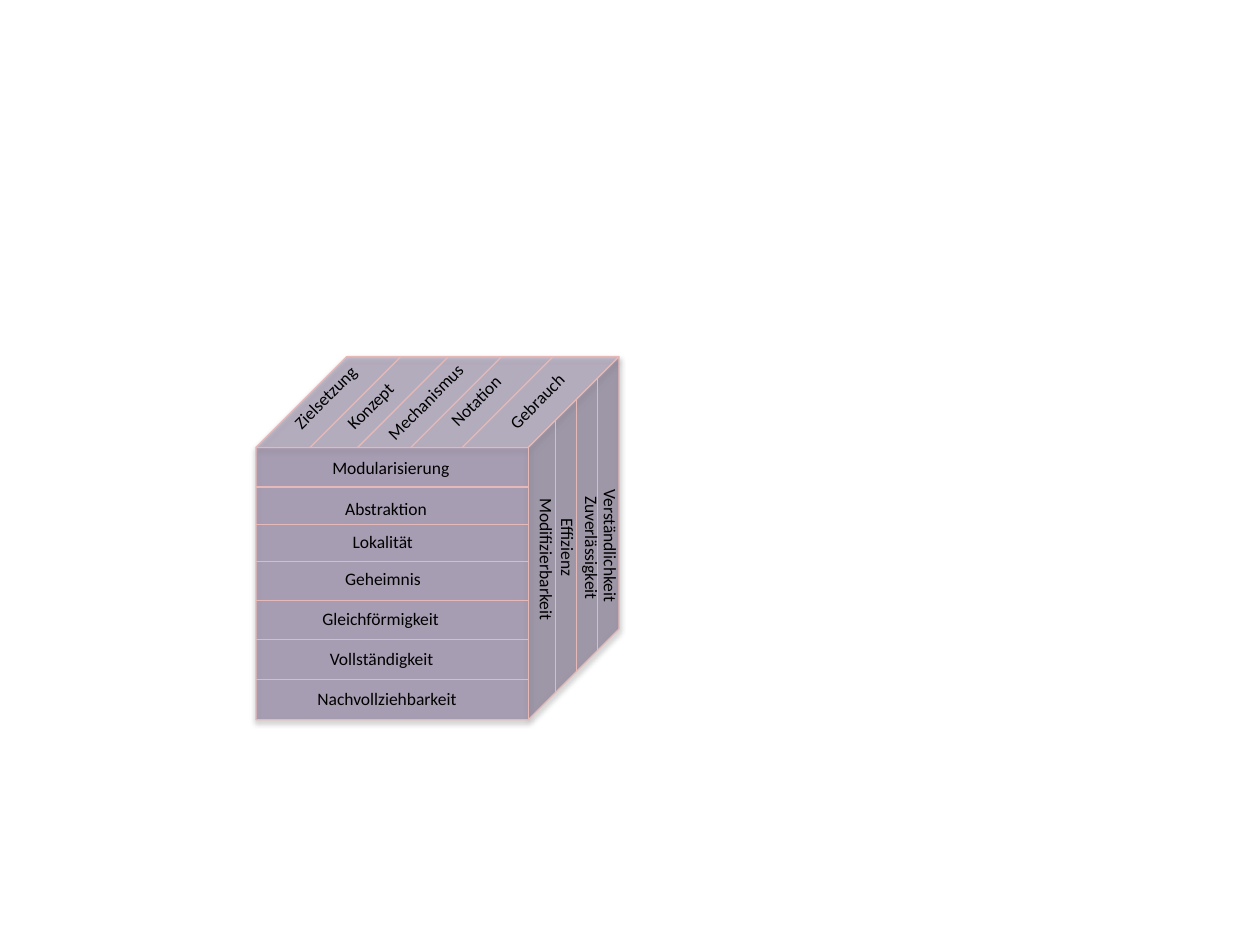
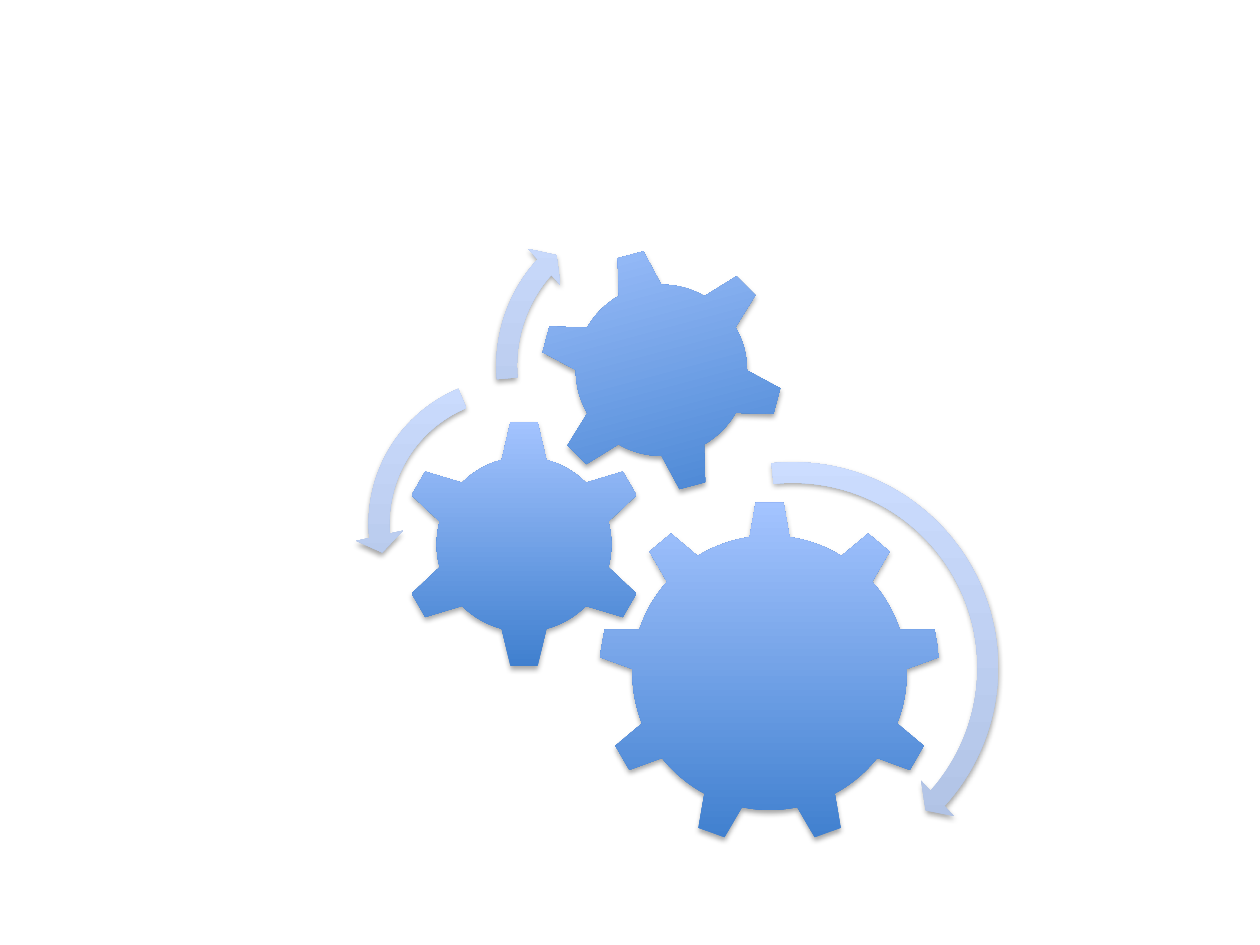
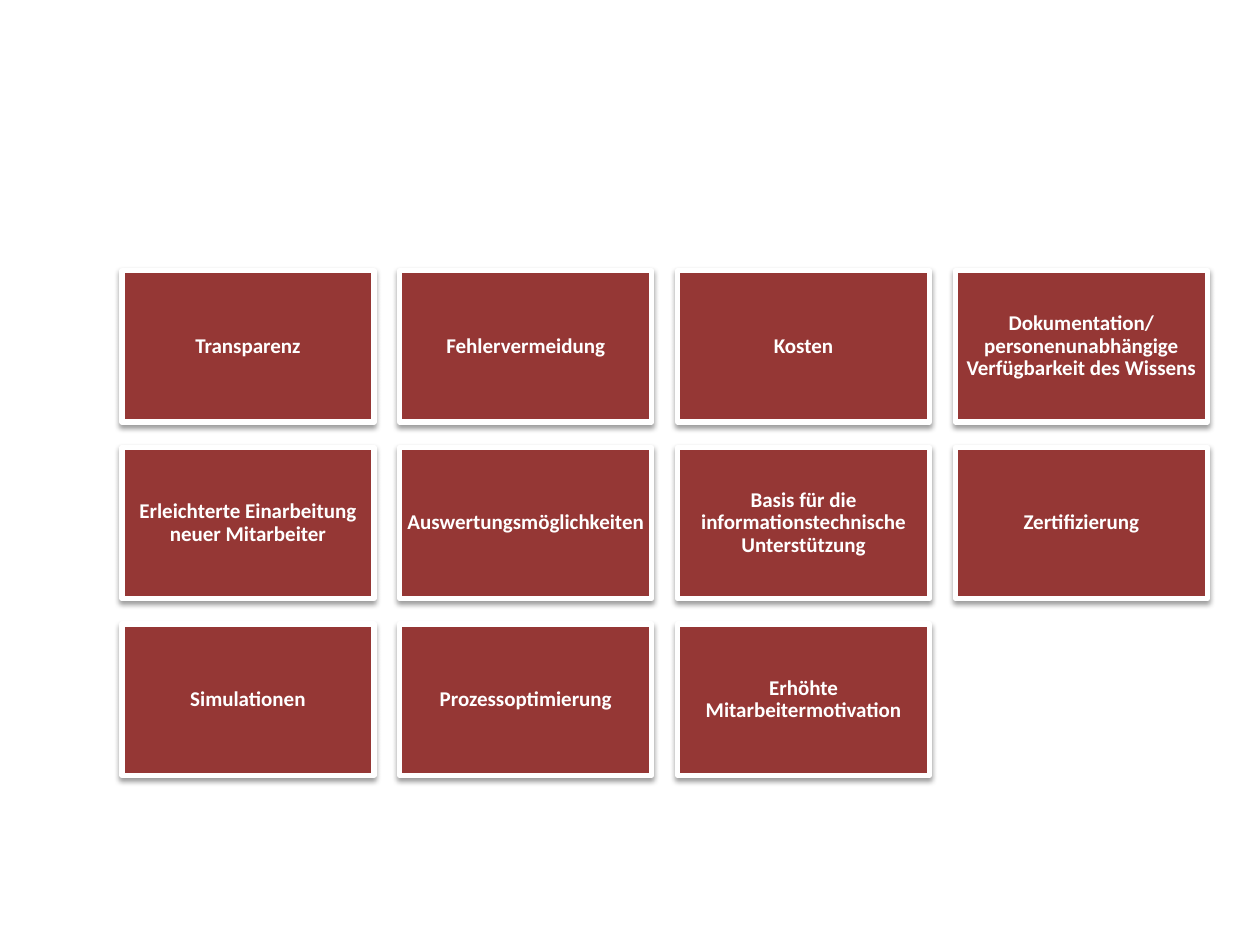
from dataclasses import dataclass

from lxml import etree
from pptx import Presentation
from pptx.dml.color import RGBColor
from pptx.enum.shapes import MSO_CONNECTOR, MSO_SHAPE
from pptx.enum.text import MSO_ANCHOR, PP_ALIGN
from pptx.oxml.ns import qn
from pptx.util import Cm, Pt

CUBE, RECTANGLE = MSO_SHAPE.CUBE, MSO_SHAPE.RECTANGLE
GEAR_6, GEAR_9 = MSO_SHAPE.GEAR_6, MSO_SHAPE.GEAR_9
ARROW, LEFT_ARROW = MSO_SHAPE.CIRCULAR_ARROW, MSO_SHAPE.LEFT_CIRCULAR_ARROW
STRAIGHT = MSO_CONNECTOR.STRAIGHT
LEFT, CENTER = PP_ALIGN.LEFT, PP_ALIGN.CENTER
TOP, MIDDLE = MSO_ANCHOR.TOP, MSO_ANCHOR.MIDDLE
BLANK_LAYOUT = 6


@dataclass(frozen=True)
class Theme:
    font: str = "Calibri"
    label_size: int = 10
    tile_size: int = 12
    ink: str = "000000"
    paper: str = "FFFFFF"
    cube: str = "604A7B"
    cube_opacity: int = 42
    divider: str = "E6B9B8"
    divider_width: float = 0.75
    gear: tuple = ("3F7FCE", "A4C4FF")
    arrow: tuple = ("ADBFE1", "CCDDFF")
    tile: str = "953735"
    tile_border: float = 3
    shadow_opacity: int = 35
    tile_shadow_opacity: int = 38


THEME = Theme()

# Cube: lengths in cm, labels as (text, left, top, width)
CUBE_LEFT, CUBE_TOP, CUBE_SIZE = 5.16, 7.19, 7.32
CUBE_DEPTH = CUBE_SIZE / 4
FRONT_DIVIDERS = [9.82, 10.57, 11.32, 12.1, 12.89, 13.7]
TOP_DIVIDERS = [6.25, 7.21, 8.28, 9.32]
SIDE_DIVIDERS = [11.2, 11.62, 12.04]
FRONT_LABELS = [
    ("Modularisierung", 6.45, 9.09, 3.51),
    ("Abstraktion", 6.71, 9.91, 3.51),
    ("Lokalität", 6.86, 10.59, 3.51),
    ("Geheimnis", 6.71, 11.33, 3.51),
    ("Gleichförmigkeit", 6.25, 12.14, 3.51),
    ("Vollständigkeit", 6.4, 12.93, 3.51),
    ("Nachvollziehbarkeit", 6.15, 13.74, 3.81),
]
SIDE_LABELS = [
    ("Verständlichkeit", 10.54, 11.02, 3.51),
    ("Zuverlässigkeit", 10.16, 11.15, 3.51),
    ("Effizienz", 9.68, 11.61, 3.51),
    ("Modifizierbarkeit", 9.25, 11.2, 3.51),
]
TOP_LABELS = [
    ("Zielsetzung", 5.54, 7.47, 2.54),
    ("Konzept", 6.65, 7.59, 2.24),
    ("Mechanismus", 7.34, 7.49, 3.12),
    ("Notation", 8.61, 7.21, 3.12),
    ("Gebrauch", 9.8, 7.26, 3.12),
]
# (labels, height, rotation) of each face
FACES = [(FRONT_LABELS, 0.64, 0), (SIDE_LABELS, 0.71, 90), (TOP_LABELS, 0.97, 314.8)]

# (kind, left, top, size, rotation)
GEARS = [
    (GEAR_9, 12.06, 10.11, 6.91, 0),
    (GEAR_6, 8.05, 8.46, 5.03, 0),
    (GEAR_6, 10.87, 5, 4.93, 345),
]
# (kind, left, top, size, band %, head angle, end angle, start angle, head %)
ARROWS = [
    (ARROW, 11.56, 9.04, 8.84, 4.7, 4.98, 42.06, 264.09, 5.5),
    (LEFT_ARROW, 7.16, 7.34, 6.43, 6.5, 7.17, 174.82, 247.3, 7.5),
    (ARROW, 9.73, 3.91, 6.93, 6, 6.57, 221.9, 175.14, 7),
]

BENEFITS = [
    "Transparenz",
    "Fehlervermeidung",
    "Kosten",
    "Dokumentation/personenunabhängige Verfügbarkeit des Wissens",
    "Erleichterte Einarbeitung neuer Mitarbeiter",
    "Auswertungsmöglichkeiten",
    "Basis für die informationstechnische Unterstützung",
    "Zertifizierung",
    "Simulationen",
    "Prozessoptimierung",
    "Erhöhte Mitarbeitermotivation",
]
TILE_COLUMNS = 4
TILE_LEFT, TILE_TOP = 2.46, 5.46
TILE_WIDTH, TILE_HEIGHT = 5.08, 3.05
TILE_STEP_X, TILE_STEP_Y = 5.6, 3.56


def rgb(value):
    return RGBColor.from_string(value)


def set_all(target, values):
    for name, value in values.items():
        setattr(target, name, value)


def add_alpha(color_element, percent):
    etree.SubElement(color_element, qn("a:alpha"), val=str(percent * 1000))


def add_shadow(shape, opacity):
    shape.shadow.inherit = False
    effects = shape._element.spPr.find(qn("a:effectLst"))
    shadow = etree.SubElement(
        effects, qn("a:outerShdw"), blurRad=str(Pt(3.1)), dist=str(Pt(1.8)),
        dir="5400000", rotWithShape="0")
    add_alpha(etree.SubElement(shadow, qn("a:srgbClr"), val=THEME.ink), opacity)


def add_block(slide, kind, left, top, width, height, opacity=THEME.shadow_opacity):
    """Add a preset shape that casts the deck's soft shadow."""
    shape = slide.shapes.add_shape(kind, Cm(left), Cm(top), Cm(width), Cm(height))
    add_shadow(shape, opacity)
    return shape


def fill_solid(shape, fill, line, line_width):
    shape.fill.solid()
    shape.fill.fore_color.rgb = rgb(fill)
    shape.line.color.rgb = rgb(line)
    shape.line.width = Pt(line_width)


def fill_gradient(shape, colors):
    """Blend the colours from the bottom edge to the top edge."""
    shape.fill.gradient()
    shape.fill.gradient_angle = 90
    for position, (stop, color) in enumerate(zip(shape.fill.gradient_stops, colors)):
        stop.color.rgb = rgb(color)
        stop.position = position
    shape.line.fill.background()


def write(shape, text, size, color, bold=False, align=LEFT, anchor=TOP):
    frame = shape.text_frame
    set_all(frame, {"word_wrap": True, "vertical_anchor": anchor})
    paragraph = frame.paragraphs[0]
    paragraph.alignment = align
    run = paragraph.add_run()
    run.text = text
    set_all(run.font, {"name": THEME.font, "size": Pt(size), "bold": bold})
    run.font.color.rgb = rgb(color)
    return frame


def add_divider(slide, x1, y1, x2, y2):
    line = slide.shapes.add_connector(STRAIGHT, Cm(x1), Cm(y1), Cm(x2), Cm(y2))
    line.line.color.rgb = rgb(THEME.divider)
    line.line.width = Pt(THEME.divider_width)
    etree.SubElement(line._element.spPr, qn("a:effectLst"))


def build_cube(slide):
    cube = add_block(slide, CUBE, CUBE_LEFT, CUBE_TOP, CUBE_SIZE, CUBE_SIZE)
    fill_solid(cube, THEME.cube, THEME.divider, THEME.divider_width)
    add_alpha(cube._element.spPr.find(qn("a:solidFill"))[0], THEME.cube_opacity)

    front_top = CUBE_TOP + CUBE_DEPTH
    front_right = CUBE_LEFT + CUBE_SIZE - CUBE_DEPTH
    bottom = CUBE_TOP + CUBE_SIZE
    for x in TOP_DIVIDERS:
        add_divider(slide, x, front_top, x + CUBE_DEPTH, CUBE_TOP)
    for y in FRONT_DIVIDERS:
        add_divider(slide, CUBE_LEFT, y, front_right, y)
    for x in SIDE_DIVIDERS:
        rise = x - front_right
        add_divider(slide, x, bottom - rise, x, front_top - rise)

    for labels, height, rotation in FACES:
        for text, left, top, width in labels:
            box = slide.shapes.add_textbox(Cm(left), Cm(top), Cm(width), Cm(height))
            box.rotation = rotation
            write(box, text, THEME.label_size, THEME.ink)


def build_gears(slide):
    for kind, left, top, size, rotation in GEARS:
        gear = add_block(slide, kind, left, top, size, size)
        gear.rotation = rotation
        fill_gradient(gear, THEME.gear)
    for kind, left, top, size, band, head_angle, end, start, head in ARROWS:
        arrow = add_block(slide, kind, left, top, size, size)
        # Angles count in 60000ths of a degree, adjustments in 100000ths.
        values = [band / 100, head_angle * 0.6, end * 0.6, start * 0.6, head / 100]
        for index, value in enumerate(values):
            arrow.adjustments[index] = value
        fill_gradient(arrow, THEME.arrow)


def build_benefits(slide):
    margins = ("margin_left", "margin_right", "margin_top", "margin_bottom")
    for index, text in enumerate(BENEFITS):
        row, column = divmod(index, TILE_COLUMNS)
        tile = add_block(
            slide, RECTANGLE, TILE_LEFT + column * TILE_STEP_X,
            TILE_TOP + row * TILE_STEP_Y, TILE_WIDTH, TILE_HEIGHT,
            THEME.tile_shadow_opacity)
        fill_solid(tile, THEME.tile, THEME.paper, THEME.tile_border)
        frame = write(tile, text, THEME.tile_size, THEME.paper, True, CENTER, MIDDLE)
        set_all(frame, dict.fromkeys(margins, Cm(0.13)))
        frame.paragraphs[0].line_spacing = 0.9


def main():
    presentation = Presentation()
    set_all(presentation, {"slide_width": Cm(25.4), "slide_height": Cm(19.05)})
    layout = presentation.slide_layouts[BLANK_LAYOUT]
    for build in (build_cube, build_gears, build_benefits):
        build(presentation.slides.add_slide(layout))
    presentation.save("out.pptx")


if __name__ == "__main__":
    main()
